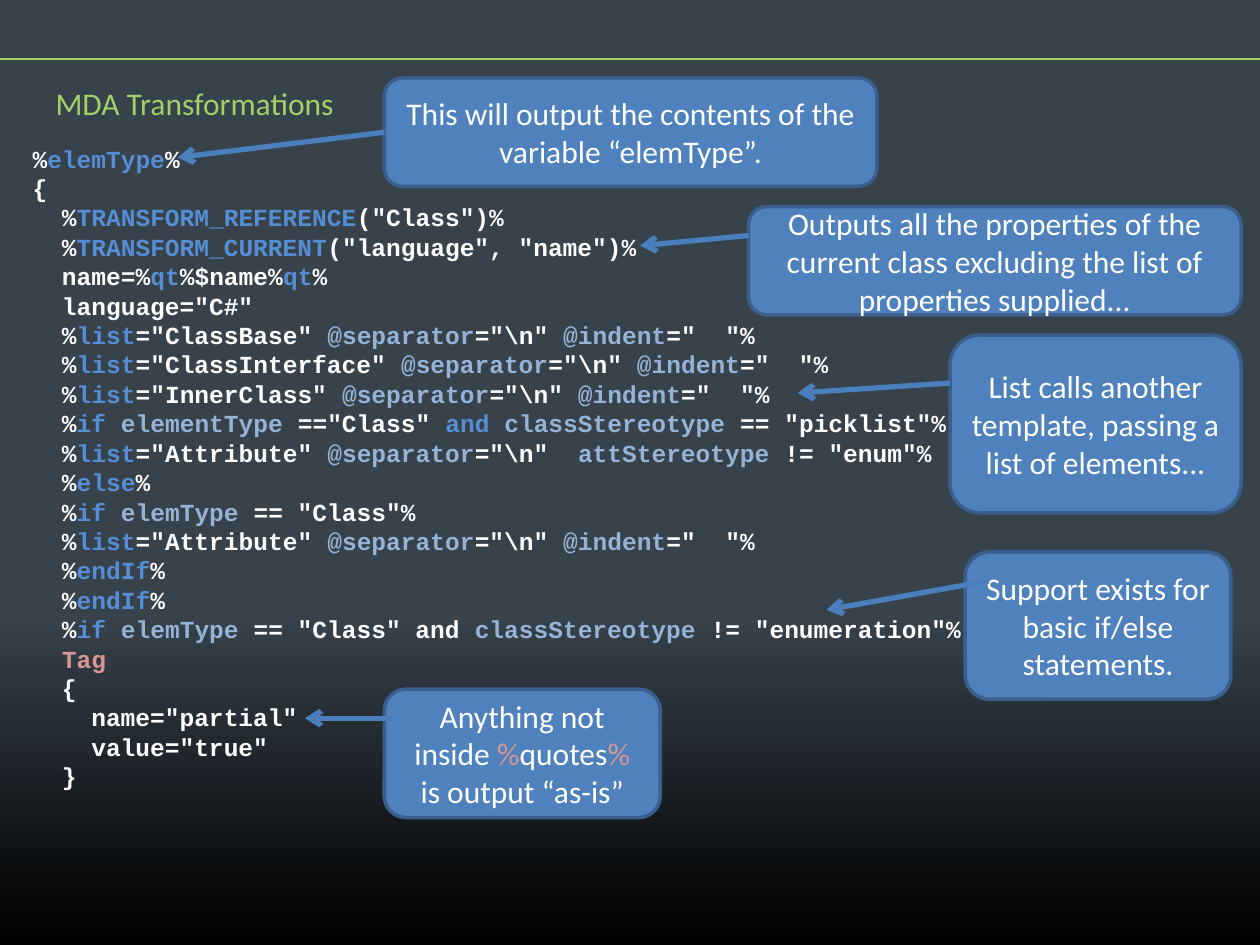
from lxml.etree import SubElement
from pptx import Presentation
from pptx.dml.color import RGBColor
from pptx.enum.shapes import MSO_CONNECTOR as Connector, MSO_SHAPE as Shape
from pptx.enum.text import MSO_ANCHOR as Anchor, PP_ALIGN as Align
from pptx.oxml.ns import qn
from pptx.util import Pt

COLORS = {
    "top": "37424B", "bottom": "000000", "accent": "A4D06A", "text": "FFFFFF",
    "keyword": "558ED5", "name": "95B3D7", "tag": "D99694",
    "box": "4F81BD", "border": "3A5F8C", "arrow": "4B7EBC",
}
MARKS = {"k": "keyword", "n": "name", "t": "tag"}
INDENT = 16.8

TEMPLATE_LINES = [
    (0, "%|k:elemType|%"),
    (0, "{"),
    (1, '%|k:TRANSFORM_REFERENCE|("Class")%'),
    (1, '%|k:TRANSFORM_CURRENT|("language", "name")%'),
    (1, "name=%|k:qt|%$name%|k:qt|%"),
    (1, 'language="C#"'),
    (1, r'%|k:list|="ClassBase" |n:@separator|="\n" |n:@indent|="  "%'),
    (1, r'%|k:list|="ClassInterface" |n:@separator|="\n" |n:@indent|="  "%'),
    (1, r'%|k:list|="InnerClass" |n:@separator|="\n" |n:@indent|="  "%'),
    (1, '%|k:if |n:elementType| =="Class" |k:and |n:classStereotype| == "picklist"%'),
    (1, r'%|k:list|="Attribute" |n:@separator|="\n"  |n:attStereotype |!= "enum"%'),
    (1, "%|k:else|%"),
    (1, '%|k:if |n:elemType |== "Class"%'),
    (1, r'%|k:list|="Attribute" |n:@separator|="\n" |n:@indent|="  "%'),
    (1, "%|k:endIf|%"),
    (1, "%|k:endIf|%"),
    (1, '%|k:if |n:elemType |== "Class" and |n:classStereotype |!= "enumeration"%'),
    (1, "t:Tag"),
    (1, "{"),
    (2, 'name="partial"'),
    (2, 'value="true"'),
    (1, "}"),
]

CALLOUTS = [
    ((219.6, 44.6, 281.5, 61.9), (0, 31), (-118.1, 45.4),
     "This will output the contents of the variable “elemType”."),
    ((427.7, 118.1, 281.5, 61.9), (0, 16.5), (-61.9, 22.3),
     "Outputs all the properties of the current class excluding the list of "
     "properties supplied..."),
    ((542.9, 191.5, 166.3, 101.5), (0, 27.4), (-87.1, 33.1),
     "List calls another template, passing a list of elements..."),
    ((551.5, 315.4, 151.9, 84.2), (13.7, 16.5), (-79.2, 33.1),
     "Support exists for basic if/else statements."),
    ((219.6, 393.8, 157.7, 73.4), (5, 16.6), (-45.4, 16.6),
     "Anything not inside |t:%|quotes|t:%| is output “as-is”"),
]


def color(key):
    """Return the named colour."""
    return RGBColor.from_string(COLORS[key])


def set_font(paragraph, name, size, key="text", bold=False):
    """Set the shared font of a paragraph."""
    font = paragraph.font
    font.name, font.size, font.bold = name, Pt(size), bold
    font.color.rgb = color(key)


def add_marked_text(paragraph, marked):
    """Add runs parted by bars, coloured by their one-letter mark."""
    for piece in marked.split("|"):
        run = paragraph.add_run()
        if piece[1:2] == ":":
            run.text = piece[2:]
            run.font.color.rgb = color(MARKS[piece[0]])
        else:
            run.text = piece


def add_line(slide, start, end, key, width, arrow=False):
    """Draw a straight line, with an arrowhead at its end if asked."""
    points = [Pt(value) for value in (*start, *end)]
    connector = slide.shapes.add_connector(Connector.STRAIGHT, *points)
    connector.line.color.rgb = color(key)
    connector.line.width = Pt(width)
    if arrow:
        SubElement(connector.line._get_or_add_ln(), qn("a:tailEnd"), type="arrow")
    SubElement(connector._element.spPr, qn("a:effectLst"))


def set_background(slide):
    """Fill the slide with a gradient that darkens near the bottom."""
    fill = slide.background.fill
    fill.gradient()
    fill.gradient_angle = 270
    for stop, key, position in zip(fill.gradient_stops, ("top", "bottom"), (0.65, 1)):
        stop.color.rgb = color(key)
        stop.position = position


def add_title(slide, box, text):
    """Place and format the title."""
    title = slide.shapes.title
    title.left, title.top, title.width, title.height = [Pt(value) for value in box]
    frame = title.text_frame
    frame.text = text
    frame.word_wrap = False
    frame.vertical_anchor = Anchor.MIDDLE
    frame.paragraphs[0].alignment = Align.CENTER
    set_font(frame.paragraphs[0], "Calibri", 18, "accent")


def add_code(slide, box, lines):
    """Write the transformation template as indented code."""
    frame = slide.shapes.add_textbox(*[Pt(value) for value in box]).text_frame
    frame.word_wrap = True
    for index, (level, marked) in enumerate(lines):
        paragraph = frame.add_paragraph() if index else frame.paragraphs[0]
        paragraph.line_spacing = Pt(16.8)
        paragraph._p.get_or_add_pPr().set("marL", str(Pt(level * INDENT)))
        set_font(paragraph, "Courier New", 14, bold=True)
        add_marked_text(paragraph, marked)


def add_callout(slide, box, start, tip, marked):
    """Draw a rounded note and its arrow, both ends relative to the box."""
    left, top = box[:2]
    shape = slide.shapes.add_shape(Shape.ROUNDED_RECTANGLE, *[Pt(value) for value in box])
    shape.shadow.inherit = False
    shape.fill.solid()
    shape.fill.fore_color.rgb = color("box")
    shape.line.color.rgb = color("border")
    shape.line.width = Pt(2)
    frame = shape.text_frame
    frame.word_wrap = True
    frame.vertical_anchor = Anchor.MIDDLE
    paragraph = frame.paragraphs[0]
    paragraph.alignment = Align.CENTER
    set_font(paragraph, "Calibri", 18)
    add_marked_text(paragraph, marked)
    ends = [(left + x, top + y) for x, y in (start, tip)]
    add_line(slide, *ends, "arrow", 3, arrow=True)


def main():
    """Build and save the slide."""
    presentation = Presentation()
    presentation.slide_width, presentation.slide_height = Pt(720), Pt(540)
    slide = presentation.slides.add_slide(presentation.slide_layouts[5])
    set_background(slide)
    add_line(slide, (0, 33.8), (720, 33.8), "accent", 0.75)
    add_title(slide, (11.5, 44.6, 199.4, 28.8), "MDA Transformations")
    add_code(slide, (11.5, 78.5, 630, 410.4), TEMPLATE_LINES)
    for callout in CALLOUTS:
        add_callout(slide, *callout)
    presentation.save("out.pptx")


if __name__ == "__main__":
    main()
